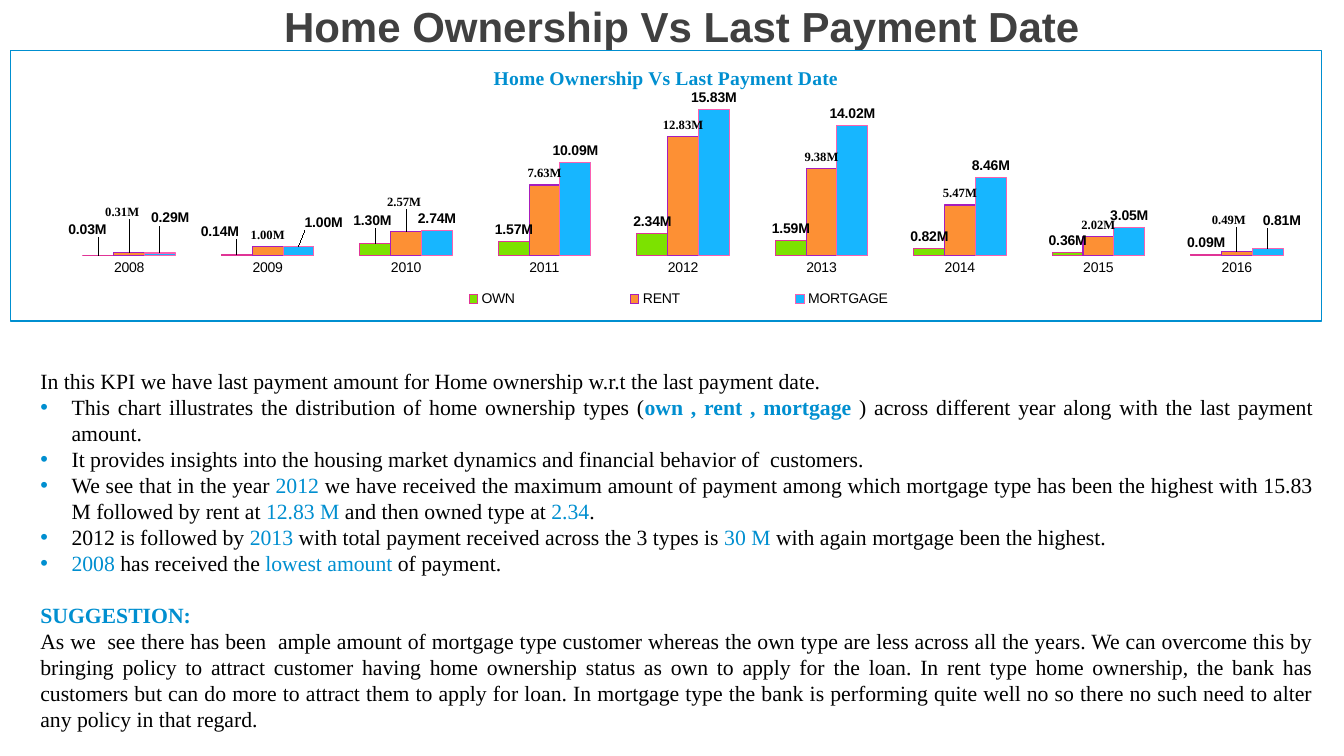
"""Build the slide on home ownership against last payment date."""
import pptx
import pptx.chart.data
import pptx.dml.color
import pptx.enum.chart
import pptx.enum.text
import pptx.oxml
import pptx.oxml.ns
import pptx.util

COLOURS = {"blue": "008FD0", "black": "000000", "title": "404040", "white": "FFFFFF"}
SANS, SERIF = "Arial", "Times New Roman"
HEADING = "Home Ownership Vs Last Payment Date"
YEARS = [str(year) for year in range(2008, 2017)]
CHART_BOX = (0.1, 0.5, 13.01, 2.69)
PLOT = (0.49, 0.38, 12.37, 1.66)
LEGEND = (3.45, 2.31, 6.36, 0.32)
CHART_TITLE = (4.76, 0.11)

SERIES = [
    {"name": "OWN", "fill": "7CE200", "line": "E03496", "font": SANS, "size": 10, "order": 1,
     "millions": [0.03, 0.14, 1.3, 1.57, 2.34, 1.59, 0.82, 0.36, 0.09],
     "nudges": {0: (-0.11, -0.14), 1: (-0.17, -0.11), 2: (-0.03, -0.11)}},
    {"name": "RENT", "fill": "FD9034", "line": "A61DBD", "font": SERIF, "size": 9, "order": 2,
     "millions": [0.31, 1, 2.57, 7.63, 12.83, 9.38, 5.47, 2.02, 0.49],
     "nudges": {0: (-0.07, -0.29), 2: (-0.02, -0.18), 8: (-0.08, -0.2)}},
    {"name": "MORTGAGE", "fill": "17B6FF", "line": "FA60B1", "font": SANS, "size": 10, "order": 0,
     "millions": [0.29, 1, 2.74, 10.09, 15.83, 14.02, 8.46, 3.05, 0.81],
     "nudges": {0: (0.1, -0.23), 1: (0.25, -0.12), 8: (0.14, -0.16)}},
]

PLAIN, ACCENT, STRONG = ("black", False), ("blue", False), ("blue", True)
COMMENTARY = [
    ("plain", [("In this KPI we have last payment amount for Home ownership w.r.t the last "
                "payment date.", PLAIN)]),
    ("bullet", [("This chart illustrates the distribution of home ownership types (", PLAIN),
                ("own , rent , mortgage ", STRONG),
                (") across different year along with the last payment amount.", PLAIN)]),
    ("bullet", [("It provides insights into the housing market dynamics and financial "
                 "behavior of  customers.", PLAIN)]),
    ("bullet", [("We see that in the year ", PLAIN), ("2012 ", ACCENT),
                ("we have received the maximum amount of payment among which mortgage type "
                 "has been the highest with 15.83 M followed by rent at ", PLAIN),
                ("12.83 M ", ACCENT), ("and then owned type at ", PLAIN),
                ("2.34", ACCENT), (".", PLAIN)]),
    ("bullet", [("2012 is followed by ", PLAIN), ("2013 ", ACCENT),
                ("with total payment received across the 3 types is ", PLAIN),
                ("30 M ", ACCENT), ("with again mortgage been the highest.", PLAIN)]),
    ("bullet", [("2008 ", ACCENT), ("has received the ", PLAIN),
                ("lowest amount ", ACCENT), ("of payment.", PLAIN)]),
    ("section", [("SUGGESTION:", STRONG)]),
    ("plain", [("As we  see there has been  ample amount of mortgage type customer whereas the "
                "own type are less across all the years. We can overcome this by bringing "
                "policy to attract customer having home ownership status as own to apply for "
                "the loan. In rent type home ownership, the bank has customers but can do more "
                "to attract them to apply for loan. In mortgage type the bank is performing "
                "quite well no so there no such need to alter any policy in that regard.",
                PLAIN)]),
]


def rgb(value):
    return pptx.dml.color.RGBColor.from_string(COLOURS.get(value, value))


def style(font, face, size, colour, bold=False):
    font.name, font.size, font.bold = face, pptx.util.Pt(size), bold
    font.color.rgb = rgb(colour)


def place(shape, box):
    shape.left, shape.top, shape.width, shape.height = map(pptx.util.Inches, box)


def layout_xml(inches, edges=True, inner=False):
    parts = '<c:layoutTarget val="inner"/>' if inner else ""
    if edges:
        parts += '<c:xMode val="edge"/><c:yMode val="edge"/>'
    parts += "".join(f'<c:{key} val="{length / side}"/>'
                     for key, length, side in zip("xywh", inches, CHART_BOX[2:] * 2))
    return pptx.oxml.parse_xml(
        f'<c:layout {pptx.oxml.ns.nsdecls("c")}><c:manualLayout>{parts}</c:manualLayout></c:layout>')


def set_layout(element, layout, after=None):
    for old in element.findall(pptx.oxml.ns.qn("c:layout")):
        element.remove(old)
    if after is None:
        element.insert(0, layout)
    else:
        element.find(pptx.oxml.ns.qn(after)).addnext(layout)


def label_series(bars, facts):
    labels = bars.data_labels
    labels.show_value = True
    labels.number_format, labels.number_format_is_linked = '0.00,,"M"', False
    labels.position = pptx.enum.chart.XL_LABEL_POSITION.OUTSIDE_END
    style(labels.font, facts["font"], facts["size"], "black", True)
    for index in facts["nudges"]:
        label = bars.points[index].data_label
        label.position = pptx.enum.chart.XL_LABEL_POSITION.OUTSIDE_END
        style(label.font, facts["font"], facts["size"], "black", True)
    for entry in labels._element.findall(pptx.oxml.ns.qn("c:dLbl")):
        set_layout(entry, layout_xml(facts["nudges"][entry.idx_val], edges=False), "c:idx")
    for leader in labels._element.findall(pptx.oxml.ns.qn("c:showLeaderLines")):
        labels._element.remove(leader)
    labels._element.append(pptx.oxml.parse_xml(
        f'<c:extLst {pptx.oxml.ns.nsdecls("c")}><c:ext '
        'uri="{CE6537A1-D6FC-4f65-9D91-7224C49458BB}" '
        'xmlns:c15="http://schemas.microsoft.com/office/drawing/2012/chart">'
        '<c15:showLeaderLines val="0"/></c:ext></c:extLst>'))


def add_payments_chart(slide):
    data = pptx.chart.data.CategoryChartData()
    data.categories = YEARS
    for facts in SERIES:
        data.add_series(facts["name"], [round(value * 1e6) for value in facts["millions"]])
    chart = slide.shapes.add_chart(pptx.enum.chart.XL_CHART_TYPE.COLUMN_CLUSTERED,
                                   *map(pptx.util.Inches, CHART_BOX), data).chart
    style(chart.font, SANS, 10, "black")
    chart.has_title = True
    heading = chart.chart_title.text_frame.paragraphs[0].add_run()
    heading.text = HEADING
    style(heading.font, SERIF, 14, "blue", True)
    set_layout(chart.chart_title._element, layout_xml(CHART_TITLE), "c:tx")
    chart.has_legend = True
    chart.legend.position = pptx.enum.chart.XL_LEGEND_POSITION.BOTTOM
    chart.legend.include_in_layout = False
    style(chart.legend.font, SANS, 10, "black")
    set_layout(chart.legend._element, layout_xml(LEGEND), "c:legendPos")
    set_layout(chart._chartSpace.chart.plotArea, layout_xml(PLOT, inner=True))

    years, amounts = chart.category_axis, chart.value_axis
    years.major_tick_mark = pptx.enum.chart.XL_TICK_MARK.NONE
    years.format.line.fill.background()
    style(years.tick_labels.font, SANS, 10, "black")
    amounts.minimum_scale, amounts.maximum_scale = 0, 18_000_000
    amounts.has_major_gridlines = amounts.visible = False

    columns = chart.plots[0]
    columns.gap_width, columns.overlap, columns.vary_by_categories = 150, 0, False
    for bars, facts in zip(list(columns.series), SERIES):
        bars.format.fill.solid()
        bars.format.fill.fore_color.rgb = rgb(facts["fill"])
        bars.format.line.color.rgb = rgb(facts["line"])
        bars.format.line.width = pptx.util.Pt(0.75)
        label_series(bars, facts)
        bars._element.find(pptx.oxml.ns.qn("c:order")).set("val", str(facts["order"]))
    border = pptx.oxml.parse_xml(
        f'<c:spPr {pptx.oxml.ns.nsdecls("c", "a")}><a:noFill/><a:ln w="9525"><a:solidFill>'
        f'<a:srgbClr val="{COLOURS["blue"]}"/></a:solidFill></a:ln></c:spPr>')
    chart._chartSpace.chart.addnext(border)


def write_commentary(body):
    place(body, (0.3, 3.58, 12.82, 3.75))
    body.line.color.rgb = rgb("white")
    body.line.width = pptx.util.Pt(0.75)
    frame = body.text_frame
    frame.auto_size = pptx.enum.text.MSO_AUTO_SIZE.NONE
    frame.vertical_anchor = pptx.enum.text.MSO_ANCHOR.MIDDLE
    for number, (kind, runs) in enumerate(COMMENTARY):
        paragraph = frame.add_paragraph() if number else frame.paragraphs[0]
        paragraph.alignment = pptx.enum.text.PP_ALIGN.JUSTIFY
        paragraph.line_spacing = 1.0
        paragraph.space_before = pptx.util.Pt(18.5 if kind == "section" else 0)
        paragraph.space_after = pptx.util.Pt(0)
        indent = pptx.util.Inches(0.31 if kind == "bullet" else 0)
        properties = paragraph._p.get_or_add_pPr()
        properties.set("marL", str(indent))
        properties.set("indent", str(-indent))
        marks = (f'<a:buClr><a:srgbClr val="{COLOURS["blue"]}"/></a:buClr>'
                 f'<a:buFont typeface="{SANS}"/><a:buChar char="•"/>'
                 if kind == "bullet" else "<a:buNone/>")
        for mark in list(pptx.oxml.parse_xml(
                f'<a:pPr {pptx.oxml.ns.nsdecls("a")}>{marks}</a:pPr>')):
            properties.append(mark)
        for text, (colour, bold) in runs:
            run = paragraph.add_run()
            run.text = text
            style(run.font, SERIF, 15.5, colour, bold)


def main():
    deck = pptx.Presentation()
    deck.slide_width, deck.slide_height = pptx.util.Inches(13.33), pptx.util.Inches(7.5)
    slide = deck.slides.add_slide(deck.slide_layouts[1])
    title, body = slide.placeholders
    place(title, (0.1, -0.05, 13.33, 0.61))
    title.text_frame.vertical_anchor = pptx.enum.text.MSO_ANCHOR.MIDDLE
    title.text_frame.auto_size = pptx.enum.text.MSO_AUTO_SIZE.NONE
    title.text_frame.paragraphs[0].alignment = pptx.enum.text.PP_ALIGN.CENTER
    heading = title.text_frame.paragraphs[0].add_run()
    heading.text = HEADING
    style(heading.font, SANS, 30, "title", True)
    add_payments_chart(slide)
    write_commentary(body)
    deck.save("out.pptx")


if __name__ == "__main__":
    main()
